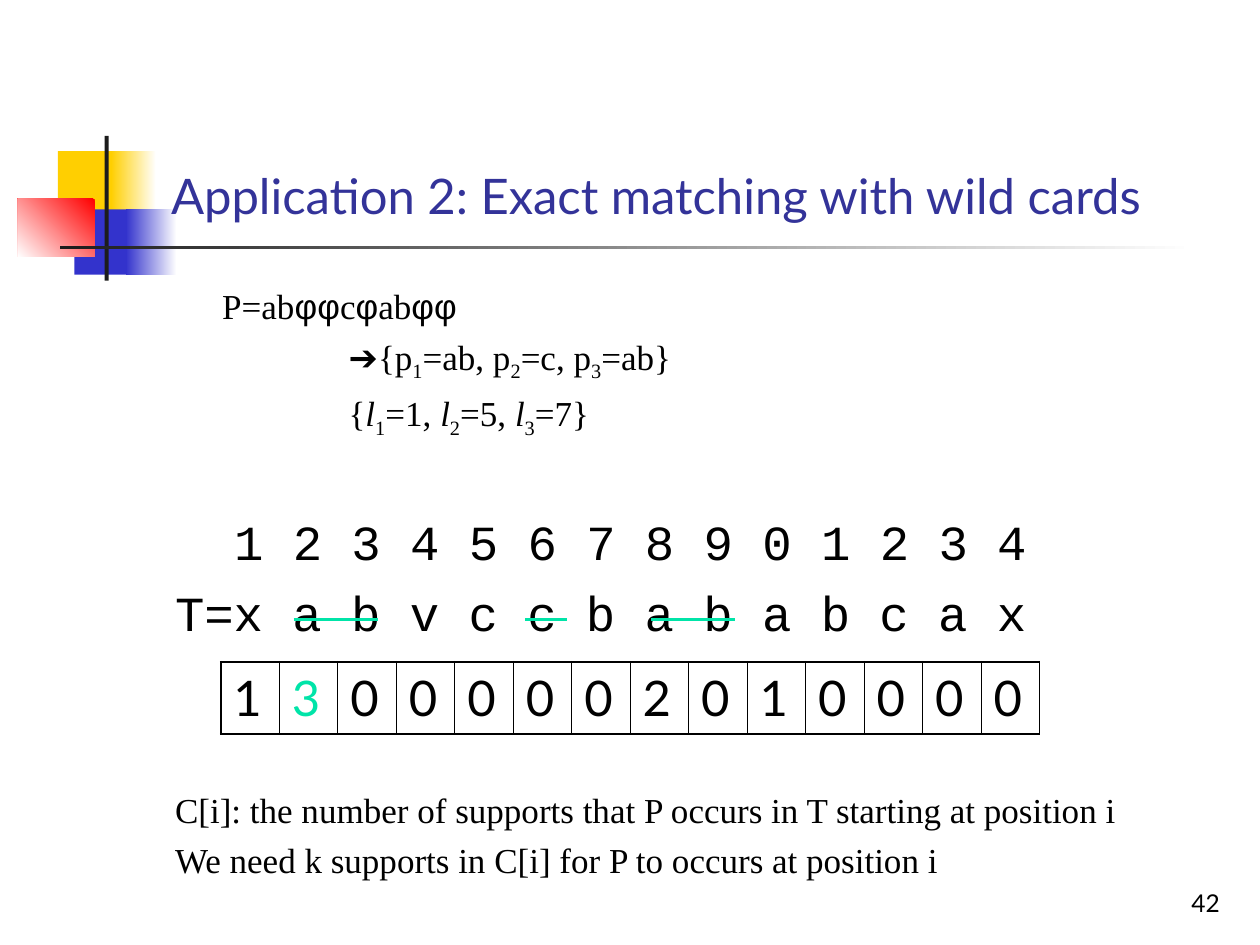
"""Build the slide on exact matching with wild cards."""
from lxml.etree import SubElement
from pptx import Presentation
from pptx.dml.color import RGBColor
from pptx.enum.shapes import MSO_CONNECTOR, MSO_SHAPE
from pptx.enum.text import MSO_ANCHOR, PP_ALIGN
from pptx.oxml.ns import qn
from pptx.util import Cm, Pt

BLACK = RGBColor(0, 0, 0)
WHITE = RGBColor(255, 255, 255)
GOLD = RGBColor(0xFF, 0xCF, 0x01)
BLUE = RGBColor(0x33, 0x33, 0xCC)
RED = RGBColor(255, 0, 0)
DARK = RGBColor(0x1C, 0x1C, 0x1C)
NAVY = RGBColor(0x33, 0x33, 0x99)
MINT = RGBColor(0x00, 0xE4, 0xA8)
SERIF, SANS, MONO, LATO = "Times New Roman", "Arial", "Courier New", "Lato"
COUNTS = "13000002010000"


def write(para, text, font=SERIF, size=20, color=BLACK, italic=False, sub=False):
    run = para.add_run()
    run.text = text
    run.font.name = font
    run.font.size = Pt(size)
    run.font.color.rgb = color
    if italic:
        run.font.italic = True
    if sub:
        run.font._element.set("baseline", "-25000")


def block(slide, x, y, w, h, anchor=MSO_ANCHOR.TOP):
    frame = slide.shapes.add_textbox(Cm(x), Cm(y), Cm(w), Cm(h)).text_frame
    frame.word_wrap = True
    frame.vertical_anchor = anchor
    return frame


def line(frame, runs, indent=0, before=5):
    first = frame.paragraphs[0]
    para = frame.add_paragraph() if first.runs else first
    para.space_before = Pt(before)
    para._p.get_or_add_pPr().set("marL", str(Cm(indent)))
    for text, form in runs:
        write(para, text, **form)


def box(slide, x, y, w, h, color, fade=None, angle=180):
    shape = slide.shapes.add_shape(MSO_SHAPE.RECTANGLE, Cm(x), Cm(y), Cm(w), Cm(h))
    shape.shadow.inherit = False
    shape.line.fill.background()
    if fade is None:
        shape.fill.solid()
        shape.fill.fore_color.rgb = color
        return
    shape.fill.gradient()
    shape.fill.gradient_angle = angle
    for stop, tint in zip(shape.fill.gradient_stops, (color, fade)):
        stop.color.rgb = tint


def mark(slide, start, end, y=12.49):
    rule = slide.shapes.add_connector(
        MSO_CONNECTOR.STRAIGHT, Cm(start), Cm(y), Cm(end), Cm(y))
    rule.line.color.rgb = MINT
    rule.line.width = Pt(2)
    SubElement(rule._element.spPr, qn("a:effectLst"))


def edge(cell, side, width):
    border = SubElement(cell._tc.get_or_add_tcPr(), qn(f"a:{side}"), w=str(Pt(width)))
    fill = SubElement(border, qn("a:solidFill"))
    SubElement(fill, qn("a:srgbClr"), val=str(BLACK))


def grid(slide, x, y, w, h):
    last = len(COUNTS) - 1
    table = slide.shapes.add_table(
        1, len(COUNTS), Cm(x), Cm(y), Cm(w), Cm(h)).table
    table.first_row = table.horz_banding = False
    for col, count in enumerate(COUNTS):
        table.columns[col].width = Cm(w / len(COUNTS))
        cell = table.cell(0, col)
        edge(cell, "lnL", 1.08 if col == 0 else 0.45)
        edge(cell, "lnR", 1.08 if col == last else 0.45)
        edge(cell, "lnT", 1.08)
        edge(cell, "lnB", 1.08)
        cell.fill.background()
        para = cell.text_frame.paragraphs[0]
        para.space_before = Pt(7)
        write(para, count, font=LATO, size=28, color=MINT if count == "3" else BLACK)


def decor(slide):
    box(slide, 1.17, 3.05, 1.22, 1.32, GOLD)
    box(slide, 2.24, 3.05, 0.91, 1.32, WHITE, GOLD)
    box(slide, 1.5, 4.22, 1.17, 1.32, BLUE)
    box(slide, 2.54, 4.22, 1.02, 1.32, WHITE, BLUE)
    box(slide, 0.36, 4.01, 1.55, 1.17, RED, WHITE, 225)
    box(slide, 2.11, 2.74, 0.08, 2.92, DARK)
    box(slide, 1.22, 4.95, 22.86, 0.08, WHITE, DARK)


def body(slide):
    plain, greek, code = {}, {"font": SANS}, {"font": MONO, "size": 28}
    low, slant = {"sub": True}, {"italic": True}
    frame = block(slide, 3.28, 5.61, 21.26, 13.03)
    line(frame, [("P=ab", plain), ("φφ", greek), ("c", plain), ("φ", greek),
                 ("ab", plain), ("φφ", greek)], indent=0.95)
    parts = [("➔", greek)]
    for num, lead, tail in (("1", "{p", "=ab"), ("2", ", p", "=c"), ("3", ", p", "=ab}")):
        parts += [(lead, plain), (num, low), (tail, plain)]
    line(frame, parts, indent=3.5)
    spots = []
    for num, lead, tail in (("1", "{", "=1"), ("2", ", ", "=5"), ("3", ", ", "=7}")):
        spots += [(lead, plain), ("l", slant), (num, low), (tail, plain)]
    line(frame, spots, indent=3.5)
    line(frame, [("1 2 3 4 5 6 7 8 9 0 1 2 3 4", code)], indent=1.19, before=41)
    line(frame, [("T=x a b v c c b a b a b c a x", code)], before=7)
    line(frame, [("C[i]: the number of supports that P occurs in T starting at position i",
                  plain)], before=84)
    line(frame, [("We need k supports in C[i] for P to occurs at position i", plain)])


def main():
    deck = Presentation()
    deck.slide_width, deck.slide_height = Cm(25.4), Cm(19.05)
    slide = deck.slides.add_slide(deck.slide_layouts[6])
    decor(slide)
    title = block(slide, 3.2, 0.58, 21.64, 4.06, MSO_ANCHOR.BOTTOM)
    write(title.paragraphs[0], "Application 2: Exact matching with wild cards",
          font=LATO, size=28, color=NAVY)
    body(slide)
    grid(slide, 4.45, 13.34, 16.51, 1.45)
    for start, end in ((5.92, 7.62), (10.59, 11.43), (13.13, 14.81)):
        mark(slide, start, end)
    page = block(slide, 19.56, 17.35, 5.28, 1.27, MSO_ANCHOR.BOTTOM).paragraphs[0]
    page.alignment = PP_ALIGN.RIGHT
    write(page, "42", font=LATO, size=14)
    deck.save("out.pptx")


if __name__ == "__main__":
    main()
